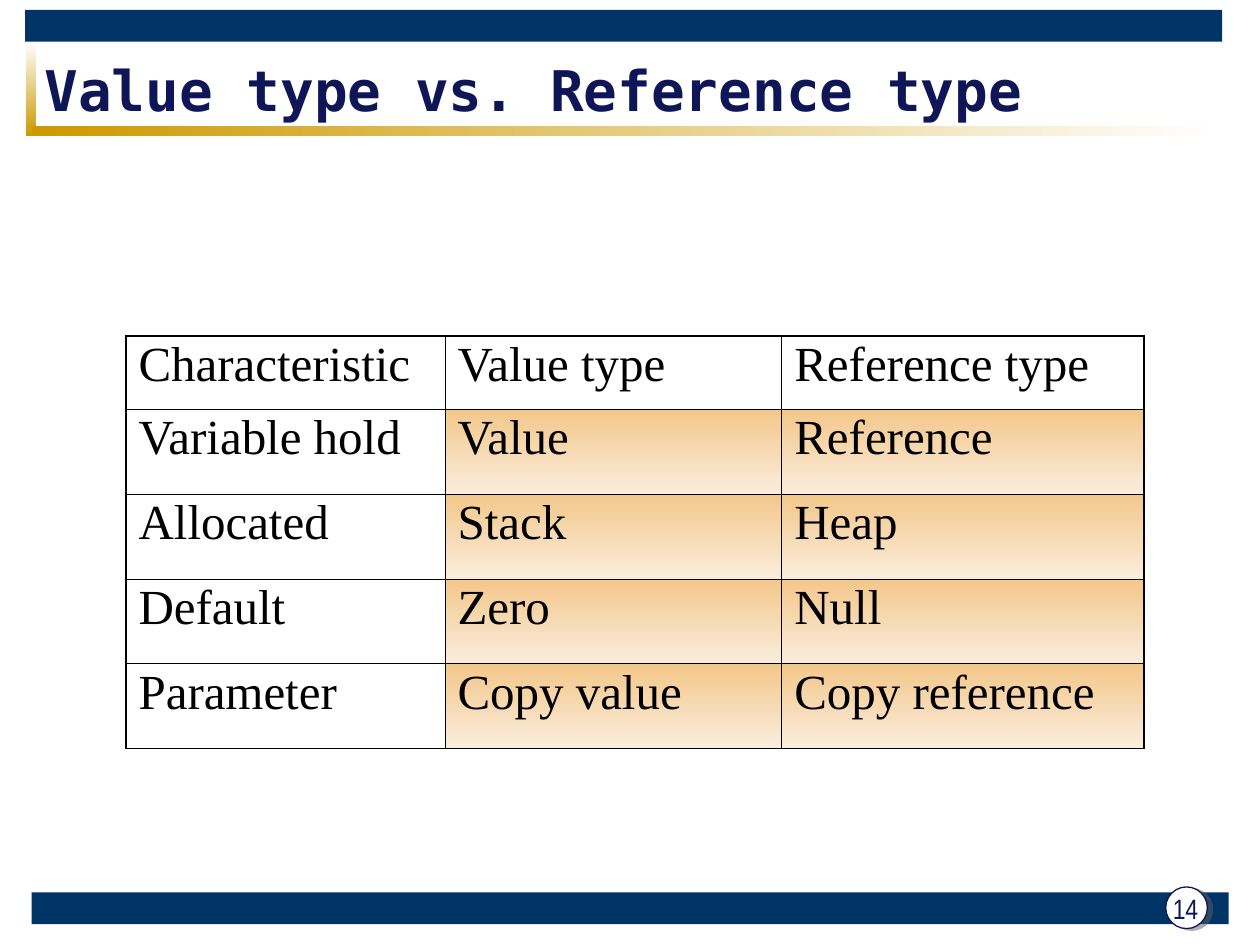
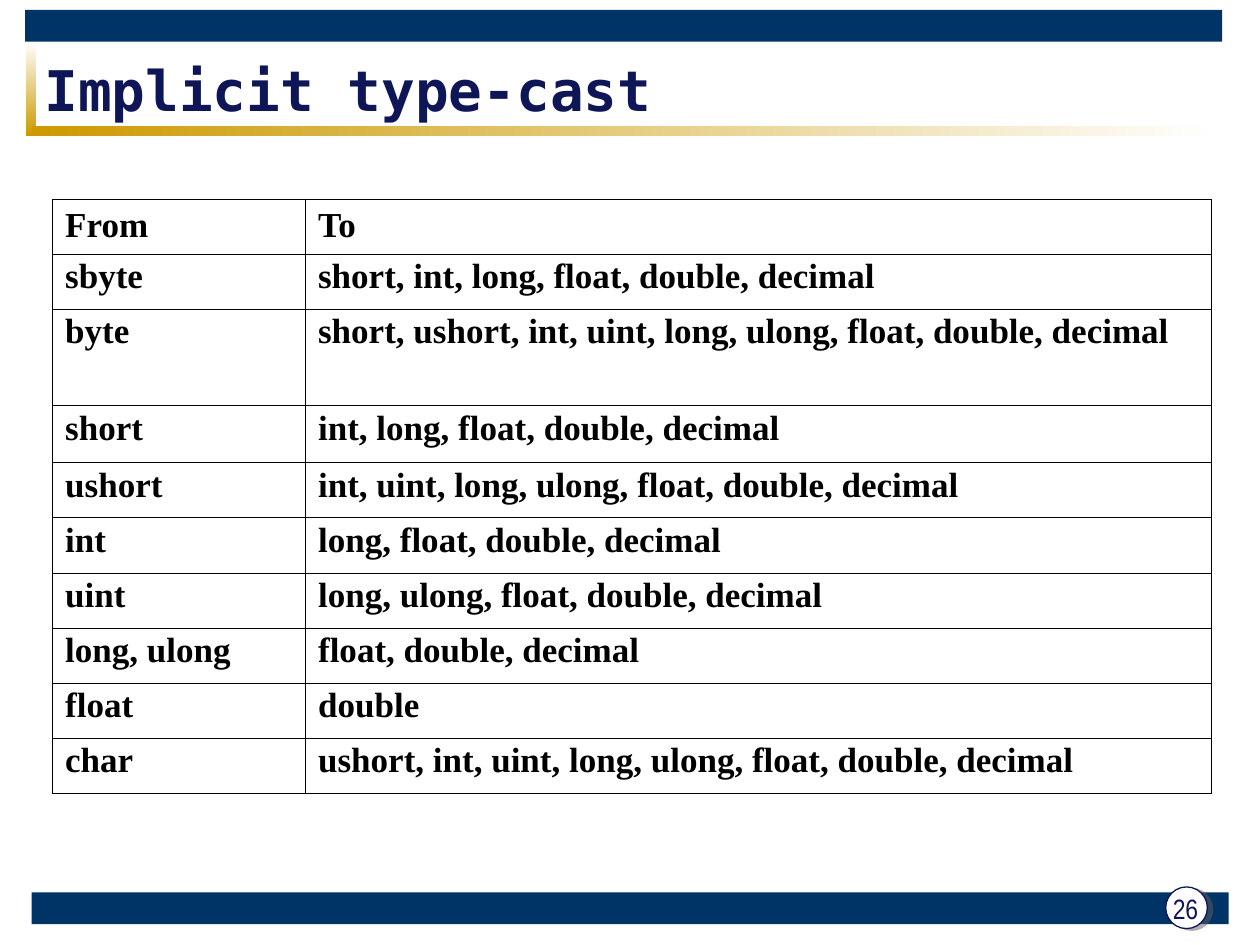
"""Build two slides on value types, reference types and implicit casts."""
from dataclasses import dataclass
from typing import Optional

from lxml.etree import SubElement
from pptx import Presentation
from pptx.dml.color import RGBColor
from pptx.dml.fill import FillFormat
from pptx.enum.shapes import MSO_SHAPE
from pptx.enum.text import MSO_ANCHOR, MSO_AUTO_SIZE, PP_ALIGN
from pptx.oxml.ns import qn
from pptx.slide import Slide
from pptx.table import _Cell
from pptx.util import Cm, Pt

NAVY = RGBColor(0x00, 0x33, 0x66)
INK = RGBColor(0x0F, 0x16, 0x57)
GOLD = RGBColor(0xCC, 0x99, 0x00)
WHITE = RGBColor(0xFF, 0xFF, 0xFF)
BLACK = RGBColor(0x00, 0x00, 0x00)
GREY = RGBColor(0x5F, 0x5F, 0x5F)
ORANGE = RGBColor(0xF3, 0xC7, 0x8A)
CREAM = RGBColor(0xFA, 0xED, 0xDD)

TITLE_FONT = "DejaVu Sans Mono"
TABLE_FONT = "Times New Roman"
NUMBER_FONT = "Arial Narrow"
THIN = 0.45
ACROSS, DOWN = 0, 270


@dataclass(frozen=True)
class Bar:
    """A rectangle in centimetres; a second colour makes it a gradient."""
    left: float
    top: float
    width: float
    height: float
    color: RGBColor
    end_color: Optional[RGBColor] = None
    angle: int = ACROSS


@dataclass(frozen=True)
class Grid:
    """A table with its sizes in centimetres and its style."""
    left: float
    top: float
    cols: list[float]
    heights: list[float]
    rows: list[tuple[str, ...]]
    size: int
    bold: bool = False
    hanging: float = 0
    outer: float = THIN
    shaded_body: bool = False
    middle_header: bool = False


BARS = [
    Bar(0.64, 17.99, 24.13, 0.64, NAVY),
    Bar(0.51, 0.2, 24.13, 0.64, NAVY),
    Bar(0.53, 0.84, 0.2, 1.9, WHITE, GOLD, DOWN),
    Bar(0.64, 2.54, 23.93, 0.2, GOLD, WHITE),
]

TYPE_GRID = Grid(
    2.54, 6.78, [6.43, 6.79, 7.3], [1.47] + [1.71] * 4,
    [
        ("Characteristic", "Value type", "Reference type"),
        ("Variable hold", "Value", "Reference"),
        ("Allocated", "Stack", "Heap"),
        ("Default", "Zero", "Null"),
        ("Parameter", "Copy value", "Copy reference"),
    ],
    size=28, outer=1.08, shaded_body=True,
)

CAST_GRID = Grid(
    1.06, 4.02, [5.1, 18.26], [1.11] * 2 + [1.94, 1.15] + [1.11] * 6,
    [
        ("From", "To"),
        ("sbyte", "short, int, long, float, double, decimal"),
        ("byte", "short, ushort, int, uint, long, ulong, float, double, decimal"),
        ("short", "int, long, float, double, decimal"),
        ("ushort", "int, uint, long, ulong, float, double, decimal"),
        ("int", "long, float, double, decimal"),
        ("uint", "long, ulong, float, double, decimal"),
        ("long, ulong", "float, double, decimal"),
        ("float", "double"),
        ("char", "ushort, int, uint, long, ulong, float, double, decimal"),
    ],
    size=20, bold=True, hanging=1.3, middle_header=True,
)


def add_run(p, text: str, font: str, size: int, color: RGBColor, bold: bool = False) -> None:
    """Append one formatted run to a paragraph."""
    r = p.add_run()
    r.text = text
    r.font.name = font
    r.font.size = Pt(size)
    r.font.bold = bold
    r.font.color.rgb = color


def set_gradient(fill: FillFormat, start: RGBColor, end: RGBColor, angle: int) -> None:
    """Give a fill a two-colour linear gradient."""
    fill.gradient()
    fill.gradient_angle = angle
    for stop, color in zip(fill.gradient_stops, (start, end)):
        stop.color.rgb = color


def add_bar(s: Slide, bar: Bar) -> None:
    """Draw one band of the slide frame."""
    sp = s.shapes.add_shape(MSO_SHAPE.RECTANGLE, Cm(bar.left), Cm(bar.top),
                            Cm(bar.width), Cm(bar.height))
    sp.shadow.inherit = False
    sp.line.fill.background()
    if bar.end_color is None:
        sp.fill.solid()
        sp.fill.fore_color.rgb = bar.color
    else:
        set_gradient(sp.fill, bar.color, bar.end_color, bar.angle)


def add_page_number(s: Slide, number: int) -> None:
    """Draw the shadowed badge and the page number on it."""
    badge = s.shapes.add_shape(MSO_SHAPE.OVAL, Cm(23.5), Cm(17.88), Cm(0.84), Cm(0.84))
    badge.fill.solid()
    badge.fill.fore_color.rgb = WHITE
    badge.line.color.rgb = INK
    badge.line.width = Pt(0.75)
    badge.shadow.inherit = False
    effects = badge._element.spPr.find(qn("a:effectLst"))
    shadow = SubElement(effects, qn("a:outerShdw"), dist=str(Pt(3.2)), dir=str(18 * 60000))
    color = SubElement(shadow, qn("a:srgbClr"), val=str(GREY))
    SubElement(color, qn("a:alpha"), val="50000")

    box = s.shapes.add_textbox(Cm(23.34), Cm(17.81), Cm(1.12), Cm(0.99))
    tf = box.text_frame
    tf.word_wrap = True
    tf.vertical_anchor = MSO_ANCHOR.MIDDLE
    p = tf.paragraphs[0]
    p.alignment = PP_ALIGN.CENTER
    add_run(p, str(number), NUMBER_FONT, 16, INK)


def set_borders(cell: _Cell, widths: dict[str, float]) -> None:
    """Draw black cell borders, with widths in points by side."""
    tc_pr = cell._tc.get_or_add_tcPr()
    for i, (side, width) in enumerate(widths.items()):
        ln = SubElement(tc_pr, qn(f"a:ln{side}"), w=str(Pt(width)))
        fill = SubElement(ln, qn("a:solidFill"))
        SubElement(fill, qn("a:srgbClr"), val=str(BLACK))
        tc_pr.insert(i, ln)


def add_grid(s: Slide, grid: Grid) -> None:
    """Add a table and fill and format its cells."""
    n_rows, n_cols = len(grid.rows), len(grid.cols)
    table = s.shapes.add_table(n_rows, n_cols, Cm(grid.left), Cm(grid.top),
                               Cm(sum(grid.cols)), Cm(sum(grid.heights))).table
    table.first_row = False
    table.horz_banding = False
    for column, width in zip(table.columns, grid.cols):
        column.width = Cm(width)
    for i, (height, texts) in enumerate(zip(grid.heights, grid.rows)):
        table.rows[i].height = Cm(height)
        for j, text in enumerate(texts):
            cell = table.cell(i, j)
            if grid.shaded_body and i and j:
                set_gradient(cell.fill, ORANGE, CREAM, DOWN)
            else:
                cell.fill.background()
            if grid.middle_header and i == 0:
                cell.vertical_anchor = MSO_ANCHOR.MIDDLE
            at_edge = {"L": j == 0, "R": j == n_cols - 1, "T": i == 0, "B": i == n_rows - 1}
            set_borders(cell, {side: grid.outer if edge else THIN
                               for side, edge in at_edge.items()})
            p = cell.text_frame.paragraphs[0]
            p.line_spacing = 0.9
            if grid.hanging:
                p_pr = p._p.get_or_add_pPr()
                p_pr.set("marL", str(Cm(grid.hanging)))
                p_pr.set("indent", str(-Cm(grid.hanging)))
            add_run(p, text, TABLE_FONT, grid.size, BLACK, grid.bold)


def add_slide(prs, title: str, number: int, grid: Grid) -> None:
    """Add a framed slide with a title, a table and a page number."""
    s = prs.slides.add_slide(prs.slide_layouts[5])
    for bar in BARS:
        add_bar(s, bar)
    sp = s.shapes.title
    sp.left, sp.top, sp.width, sp.height = Cm(0.64), Cm(1.07), Cm(22.86), Cm(1.47)
    tf = sp.text_frame
    tf.auto_size = MSO_AUTO_SIZE.NONE
    tf.vertical_anchor = MSO_ANCHOR.MIDDLE
    p = tf.paragraphs[0]
    p.alignment = PP_ALIGN.LEFT
    add_run(p, title, TITLE_FONT, 32, INK, bold=True)
    add_grid(s, grid)
    add_page_number(s, number)


def main() -> None:
    """Build and save the presentation."""
    prs = Presentation()
    prs.slide_width, prs.slide_height = Cm(25.4), Cm(19.05)
    add_slide(prs, "Value type vs. Reference type", 14, TYPE_GRID)
    add_slide(prs, "Implicit type-cast", 26, CAST_GRID)
    prs.save("out.pptx")


if __name__ == "__main__":
    main()
